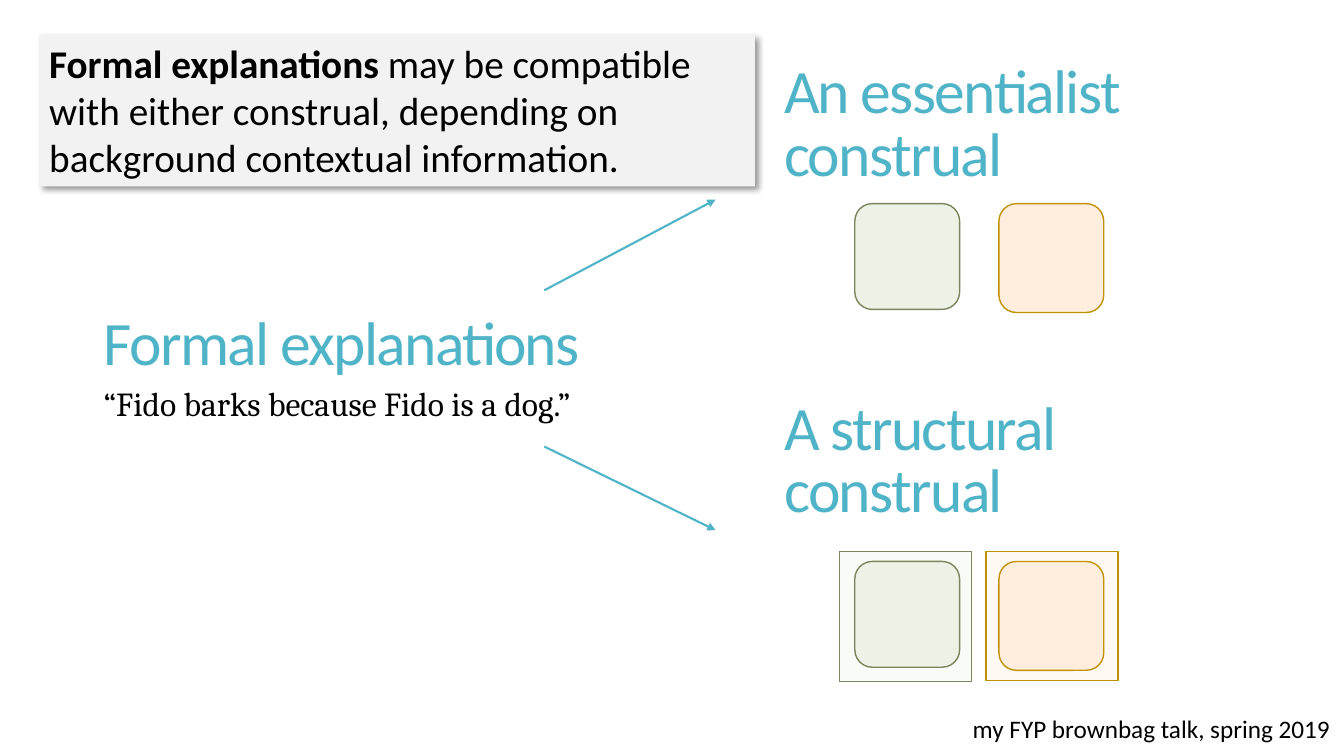
from dataclasses import dataclass
from typing import NamedTuple

from lxml import etree
from pptx import Presentation
from pptx import util as u
from pptx.dml.color import RGBColor
from pptx.enum import shapes, text
from pptx.oxml import ns


@dataclass(frozen=True)
class Theme:
    accent: str = "50B4C8"
    ink: str = "000000"
    panel: str = "F2F2F2"
    sans: str = "Calibri"
    serif: str = "Cambria"
    heading_size: int = 44
    callout_size: int = 28
    quote_size: int = 24
    footer_size: int = 18
    arrow_width: float = 1.5
    outline_width: float = 1


class Box(NamedTuple):
    """Left, top, width and height in grid columns and rows."""
    col: float
    row: float
    cols: float
    rows: float


class Category(NamedTuple):
    tile_col: float
    tile_rows: float
    frame_col: float
    frame_rows: float
    tile_fill: str
    frame_fill: str
    outline: str


class Arrow(NamedTuple):
    start: tuple[float, float]
    end: tuple[float, float]


THEME = Theme()
COLS, ROWS = 80, 45
CELL = u.Inches(13.33) / COLS
CATEGORIES = [
    Category(59.46, 6.48, 58.68, 7.68, "FFEEDD", "FFF9F3", "C09200"),
    Category(50.88, 6.3, 49.98, 7.74, "EEF1E5", "F9FBF7", "7A855D"),
]
TILE_COLS, FRAME_COLS = 6.24, 7.86
ESSENTIALIST_ROW, STRUCTURAL_ROW, FRAME_ROW = 12.12, 33.42, 32.82
ARROWS = [
    Arrow((32.4, 17.28), (42.6, 11.88)),
    Arrow((32.4, 26.58), (42.6, 31.56)),
]


def grid(*cells: float) -> list[int]:
    return [round(c * CELL) for c in cells]


def style_run(r, size: int, color: str, font: str = THEME.sans, bold: bool = False) -> None:
    r.font.size = u.Pt(size)
    r.font.name = font
    r.font.bold = bold
    r.font.color.rgb = RGBColor.from_string(color)


def add_panel(s, kind, box: Box, fill: str, outline: str | None = None):
    sp = s.shapes.add_shape(kind, *grid(*box))
    sp.shadow.inherit = False
    sp.fill.solid()
    sp.fill.fore_color.rgb = RGBColor.from_string(fill)
    if outline:
        sp.line.color.rgb = RGBColor.from_string(outline)
        sp.line.width = u.Pt(THEME.outline_width)
    else:
        sp.line.fill.background()
    return sp


def add_arrow(s, arrow: Arrow) -> None:
    line = s.shapes.add_connector(shapes.MSO_CONNECTOR.STRAIGHT,
                                  *grid(*arrow.start, *arrow.end))
    line.line.color.rgb = RGBColor.from_string(THEME.accent)
    line.line.width = u.Pt(THEME.arrow_width)
    etree.SubElement(line.line._get_or_add_ln(), ns.qn("a:tailEnd"), type="triangle")
    etree.SubElement(line._element.spPr, ns.qn("a:effectLst"))


def add_soft_shadow(sp) -> None:
    effects = sp._element.spPr.find(ns.qn("a:effectLst"))
    shadow = etree.SubElement(effects, ns.qn("a:outerShdw"), blurRad=str(u.Pt(4)),
                              dist=str(u.Pt(3)), dir=str(45 * 60000),
                              algn="tl", rotWithShape="0")
    color = etree.SubElement(shadow, ns.qn("a:srgbClr"), val=THEME.ink)
    etree.SubElement(color, ns.qn("a:alpha"), val="40000")


def set_heading(sp, words: str) -> None:
    tf = sp.text_frame
    tf.word_wrap = True
    tf.auto_size = text.MSO_AUTO_SIZE.NONE
    tf.vertical_anchor = text.MSO_ANCHOR.MIDDLE
    tf.text = words
    p = tf.paragraphs[0]
    p.alignment = text.PP_ALIGN.LEFT
    p.line_spacing = 0.85
    for r in p.runs:
        style_run(r, THEME.heading_size, THEME.accent)
        r.font._element.set("spc", "-120")


def add_label(s, box: Box, words: str, size: int, font: str, wrap: bool, align) -> None:
    tf = s.shapes.add_textbox(*grid(*box)).text_frame
    tf.word_wrap = wrap
    tf.auto_size = text.MSO_AUTO_SIZE.SHAPE_TO_FIT_TEXT
    tf.text = words
    p = tf.paragraphs[0]
    p.alignment = align
    style_run(p.runs[0], size, THEME.ink, font)


def add_callout(s) -> None:
    sp = add_panel(s, shapes.MSO_SHAPE.RECTANGLE, Box(2.34, 2.04, 42.6, 9.06), THEME.panel)
    add_soft_shadow(sp)
    tf = sp.text_frame
    tf.word_wrap = True
    tf.auto_size = text.MSO_AUTO_SIZE.SHAPE_TO_FIT_TEXT
    tf.vertical_anchor = text.MSO_ANCHOR.TOP
    p = tf.paragraphs[0]
    p.alignment = text.PP_ALIGN.LEFT
    for words, bold in (
        ("Formal explanations ", True),
        ("may be compatible with either construal, depending on "
         "background contextual information.", False),
    ):
        r = p.add_run()
        r.text = words
        style_run(r, THEME.callout_size, THEME.ink, bold=bold)


def add_construals(s) -> None:
    """Draw bare tiles for the essentialist view, framed ones for the structural view."""
    for c in CATEGORIES:
        add_panel(s, shapes.MSO_SHAPE.RECTANGLE,
                  Box(c.frame_col, FRAME_ROW, FRAME_COLS, c.frame_rows),
                  c.frame_fill, c.outline)
        for row in (ESSENTIALIST_ROW, STRUCTURAL_ROW):
            add_panel(s, shapes.MSO_SHAPE.ROUNDED_RECTANGLE,
                      Box(c.tile_col, row, TILE_COLS, c.tile_rows),
                      c.tile_fill, c.outline)


def main() -> None:
    prs = Presentation()
    prs.slide_width, prs.slide_height = grid(COLS, ROWS)
    s = prs.slides.add_slide(prs.slide_layouts[5])

    for arrow in ARROWS:
        add_arrow(s, arrow)
    add_construals(s)

    title = s.shapes.title
    title.left, title.top, title.width, title.height = grid(46.08, 20.46, 29.64, 14.16)
    set_heading(title, "A structural construal")
    for box, words in (
        (Box(5.58, 14.7, 29.64, 11.88), "Formal explanations"),
        (Box(46.08, 0.42, 29.64, 14.16), "An essentialist \vconstrual"),
    ):
        set_heading(s.shapes.add_textbox(*grid(*box)), words)

    add_label(s, Box(5.58, 22.5, 30.72, 3), "“Fido barks because Fido is a dog.”",
              THEME.quote_size, THEME.serif, False, text.PP_ALIGN.LEFT)
    add_callout(s)
    add_label(s, Box(-0.24, 42.18, COLS, 2.4), "my FYP brownbag talk, spring 2019",
              THEME.footer_size, THEME.sans, True, text.PP_ALIGN.RIGHT)
    prs.save("out.pptx")


if __name__ == "__main__":
    main()
